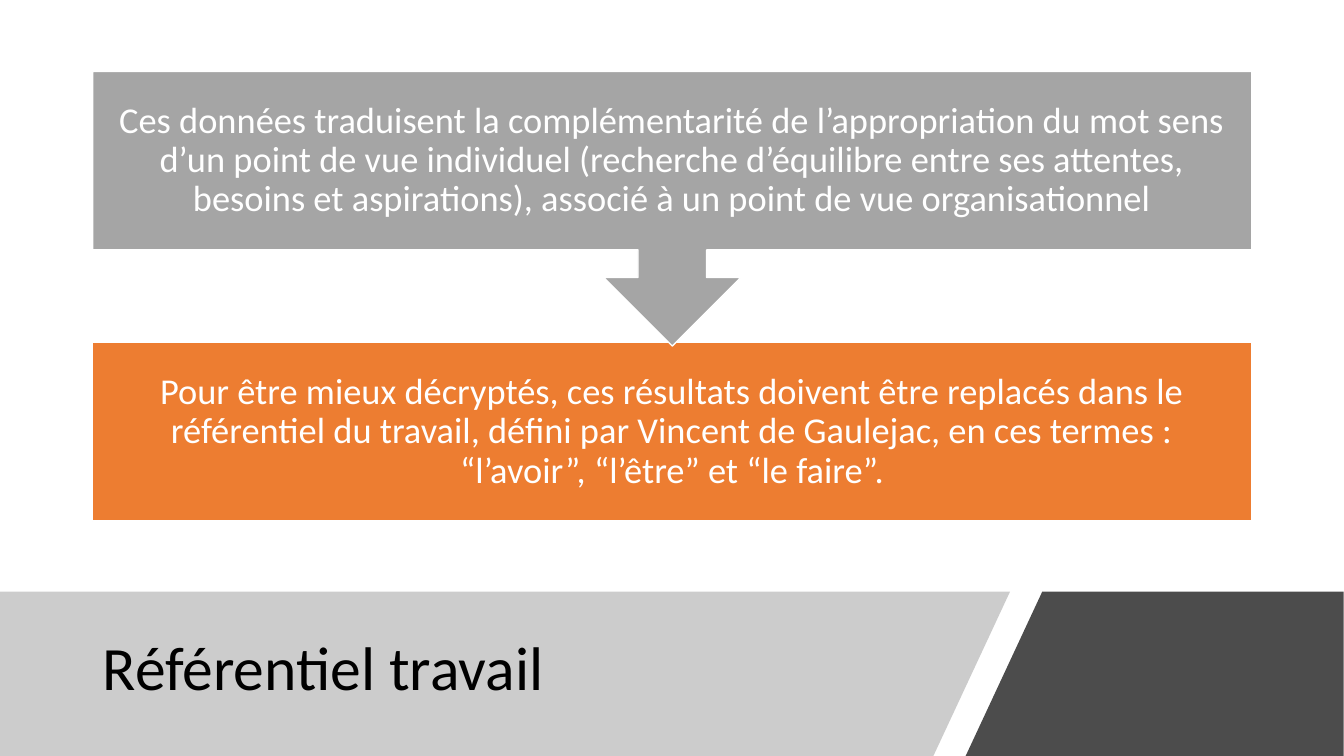
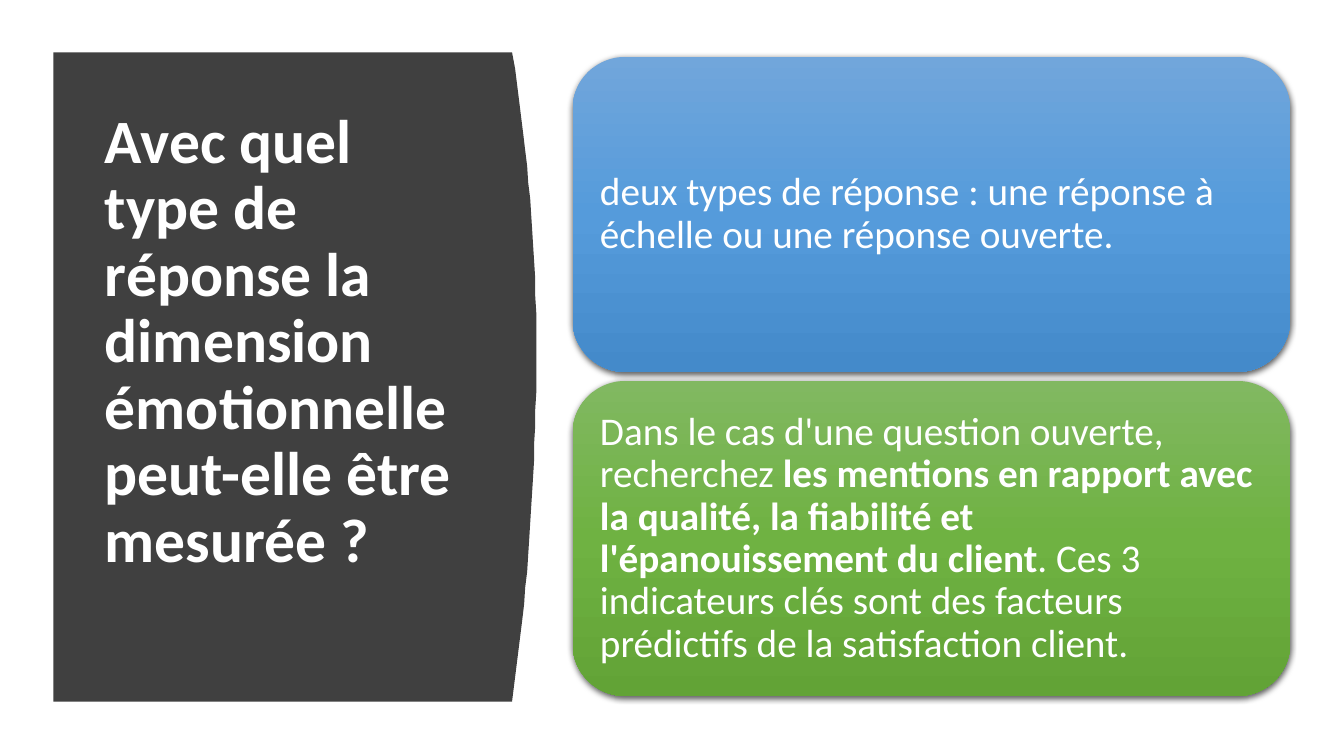
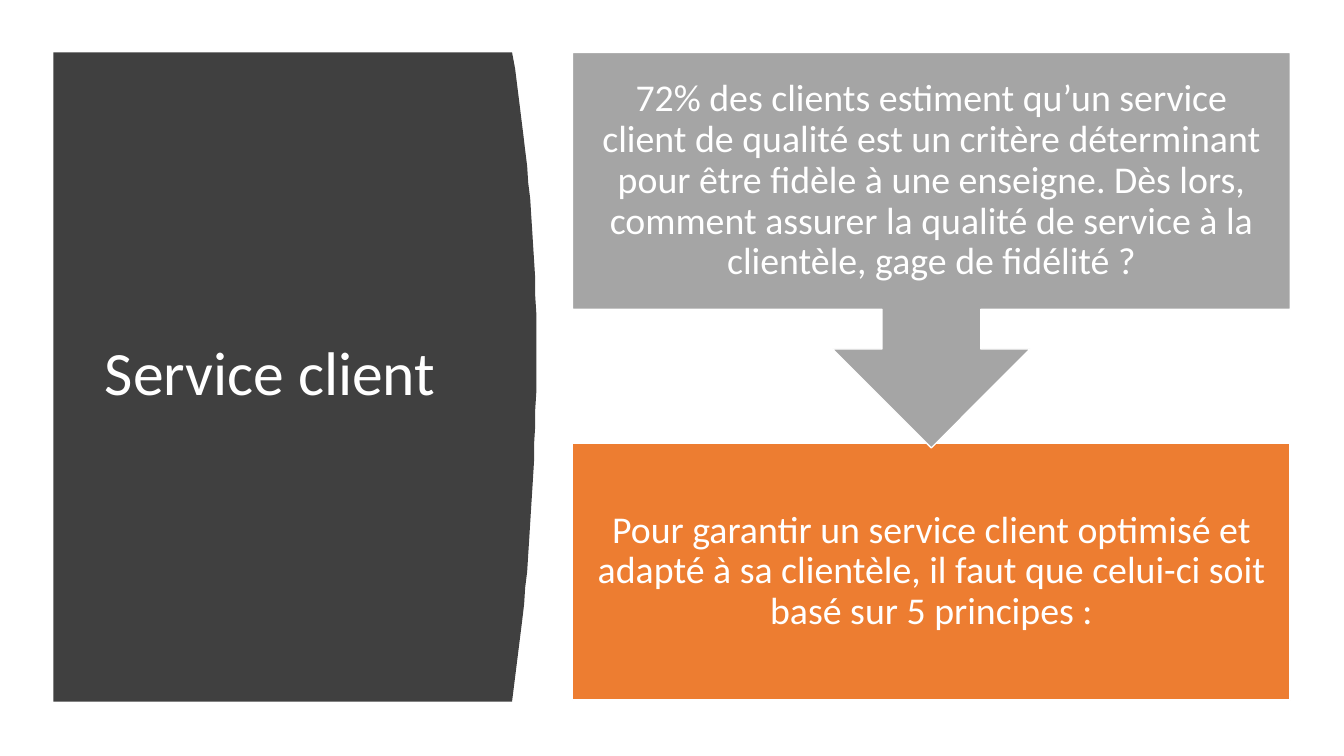
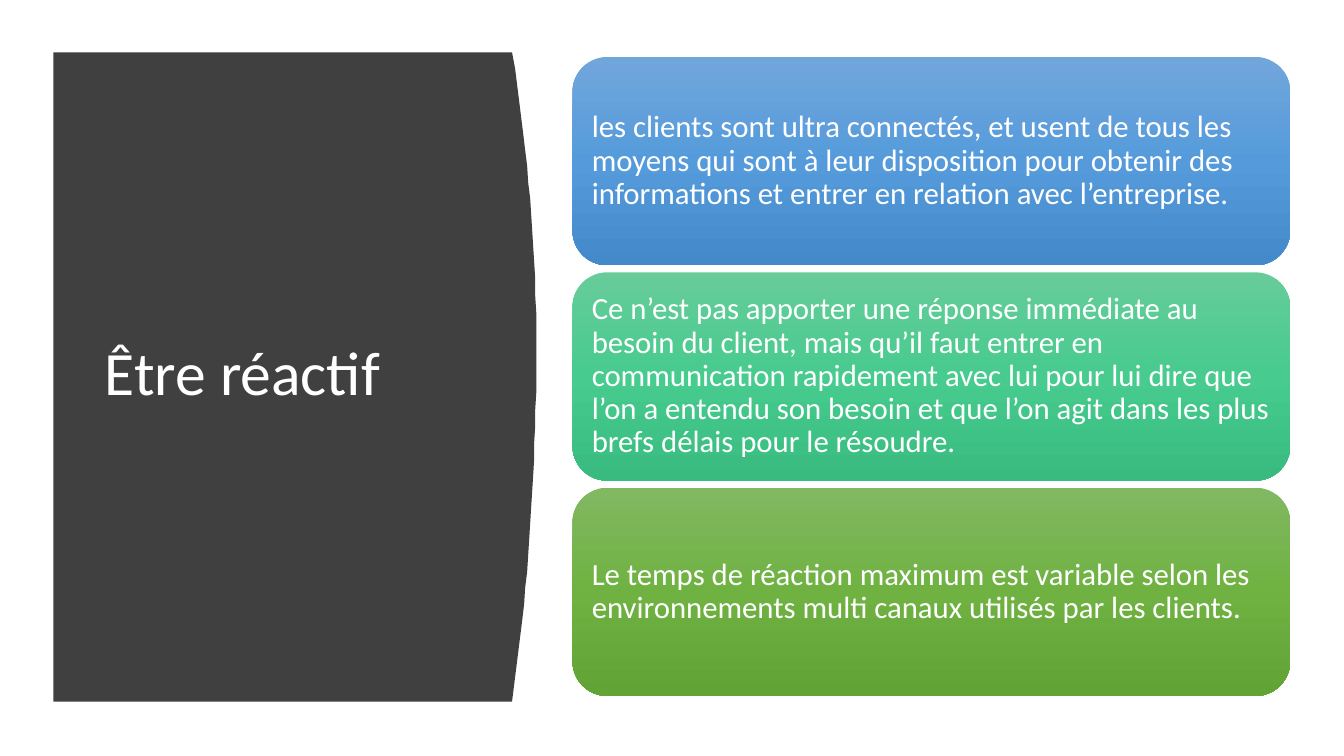
import copy
import pptx
import pptx.util
import pptx.dml.color
import pptx.enum.shapes
import pptx.enum.text
import pptx.oxml
import pptx.oxml.ns
import lxml.etree

# Shared look
HUES = {"white": "FFFFFF", "black": "000000", "mist": "808080", "panel": "404040",
        "grey": "A5A5A5", "orange": "ED7D31"}
FADES = {"blue": ("71A6DB", "559BDB", "448ACA"),
         "mint": ("67CC9A", "47CB8E", "39BB7F"),
         "green": ("81B861", "6FB242", "62A336")}
FONT = "Calibri"
KIND = pptx.enum.shapes.MSO_SHAPE
ALIGN = pptx.enum.text.PP_ALIGN
RGB = pptx.dml.color.RGBColor.from_string
tag = pptx.oxml.ns.qn

# Grid: 750 rows to the height, and square cells
ROWS = 750
COLS = ROWS * 16 / 9
deck = pptx.Presentation()
deck.slide_height = pptx.util.Inches(7.5)
deck.slide_width = deck.slide_height * 16 // 9
CELL = deck.slide_height // ROWS
MID = 373.5             # centre row of the side panel and its cards
LEFT, WIDE = 568, 712   # card column beside the panel


def write(shape, text, size=44, hue="white", bold=False, align=ALIGN.LEFT, pad=(10, 5, 10, 5)):
    """Fill a shape with text; parts between bars are bold."""
    frame = shape.text_frame
    frame.word_wrap = True
    frame.auto_size = pptx.enum.text.MSO_AUTO_SIZE.NONE
    frame.vertical_anchor = pptx.enum.text.MSO_ANCHOR.MIDDLE
    frame.margin_left, frame.margin_top, frame.margin_right, frame.margin_bottom = (
        int(side * CELL) for side in pad)
    para = frame.paragraphs[0]
    para.alignment, para.line_spacing = align, 0.9
    for turn, part in enumerate(text.split("|")):
        run = para.add_run()
        run.text = part
        run.font.name, run.font.size = FONT, pptx.util.Pt(size)
        run.font.bold = bold or turn % 2 == 1
        run.font.color.rgb = RGB(HUES[hue])


def draw(slide, form, hue, edge=False, alpha=None):
    """Add a preset (kind, left, top, width, height) or an outline of points."""
    if isinstance(form, list):
        pen = slide.shapes.build_freeform(*form[0], scale=CELL)
        pen.add_line_segments(form[1:])
        shape = pen.convert_to_shape()
    else:
        shape = slide.shapes.add_shape(form[0], *(int(n * CELL) for n in form[1:]))
    shape.shadow.inherit = False
    fill = shape.fill
    if hue in FADES:
        fill.gradient()
        fill.gradient_angle = 270
        stops = shape.element.spPr.find(".//" + tag("a:gsLst"))
        stops.insert(1, copy.deepcopy(stops[0]))
        for stop, spot, tint in zip(fill.gradient_stops, (0, 0.5, 1), FADES[hue]):
            stop.position = spot
            stop.color.rgb = RGB(tint)
    else:
        fill.solid()
        fill.fore_color.rgb = RGB(HUES[hue])
    if alpha:
        tint = shape.element.spPr.find(".//" + tag("a:srgbClr"))
        lxml.etree.SubElement(tint, tag("a:alpha"), val=str(alpha * 1000))
    if edge:
        shape.line.color.rgb = RGB(HUES["white"])
        shape.line.width = pptx.util.Pt(1)
    else:
        shape.line.fill.background()
    return shape


# Side panel outline: straight, with a bulging right edge
TOP, FOOT, PEAK, SIDE, BULGE = 52, 696, 350, 508, 24
STEPS = 40
curve = []
for step in range(STEPS + 1):
    row = TOP + (FOOT - TOP) * step / STEPS
    reach = PEAK - TOP if row < PEAK else FOOT - PEAK
    curve.append((SIDE + BULGE * (1 - ((row - PEAK) / reach) ** 2), row))
panel = [(53, TOP), *curve, (53, FOOT)]

# Foot bands
BAND = 587
bands = [([(0, BAND), (1002, BAND), (926, ROWS), (0, ROWS)], "mist", 40),
         ([(1034, BAND), (COLS, BAND), (COLS, ROWS), (958, ROWS)], "black", 70)]

# Wording: title, layout, text size, text inset, cards
pages = [
    ("Référentiel travail", "foot", 26, 20, [
        ("grey", "Ces données traduisent la complémentarité de l’appropriation du mot sens "
         "d’un point de vue individuel (recherche d’équilibre entre ses attentes, besoins et "
         "aspirations), associé à un point de vue organisationnel"),
        ("orange", "Pour être mieux décryptés, ces résultats doivent être replacés dans le "
         "référentiel du travail, défini par Vincent de Gaulejac, en ces termes\u00a0: "
         "“l’avoir”, “l’être” et “le faire”.")]),
    ("Avec quel type de réponse la dimension émotionnelle peut-elle être mesurée ?",
     "stack", 28, 12, [
        ("blue", "deux types de réponse : une réponse à échelle ou une réponse ouverte."),
        ("green", "Dans le cas d'une question ouverte, recherchez |les mentions en rapport avec "
         "la qualité, la fiabilité et l'épanouissement du client|. Ces 3 indicateurs clés sont "
         "des facteurs prédictifs de la satisfaction client.")]),
    ("Service client", "flow", 27, 21, [
        ("grey", "72% des clients estiment qu’un service client de qualité est un critère "
         "déterminant pour être fidèle à une enseigne. Dès lors, comment assurer la qualité de "
         "service à la clientèle, gage de fidélité\u00a0?"),
        ("orange", "Pour garantir un service client optimisé et adapté à sa clientèle, il faut "
         "que celui-ci soit basé sur 5 principes\u00a0:")]),
    ("Être réactif", "stack", 22, 9, [
        ("blue", "les clients sont ultra connectés, et usent de tous les moyens qui sont à leur "
         "disposition pour obtenir des informations et entrer en relation avec l’entreprise."),
        ("mint", "Ce n’est pas apporter une réponse immédiate au besoin du client, mais qu’il "
         "faut entrer en communication rapidement avec lui pour lui dire que l’on a entendu son "
         "besoin et que l’on agit dans les plus brefs délais pour le résoudre."),
        ("green", "Le temps de réaction maximum est variable selon les environnements multi "
         "canaux utilisés par les clients.")]),
]

for name, plan, size, inset, cards in pages:
    slide = deck.slides.add_slide(deck.slide_layouts[5])
    pad = (inset,) * 4
    long = len(name) > 40

    # Backdrop, with the title in front of it
    if plan == "foot":
        for form, hue, alpha in bands:
            draw(slide, form, hue, alpha=alpha)
        box = (92, 605, 844, 120)
    else:
        draw(slide, panel, "panel")
        box = (94, 111, 374, 524)
    title = slide.shapes.title
    title.left, title.top, title.width, title.height = (n * CELL for n in box)
    title.element.getparent().append(title.element)
    write(title, name, hue="black" if plan == "foot" else "white", bold=long,
          pad=(10, 5, 10, 71 if long else 5))

    # Equal cards, one below the other
    if plan == "stack":
        count = len(cards)
        gap = 9 if count == 2 else 7
        high = (634 - gap * (count - 1)) / count
        for spot, (hue, text) in enumerate(cards):
            top = MID - 317 + spot * (high + gap)
            card = draw(slide, (KIND.ROUNDED_RECTANGLE, LEFT, top, WIDE, high), hue)
            write(card, text, size=size, pad=pad)
            if count == 2:
                glow = card.element.spPr.find(tag("a:effectLst"))
                glow.append(pptx.oxml.parse_xml(
                    '<a:outerShdw xmlns:a="http://schemas.openxmlformats.org/drawingml/2006/main"'
                    ' blurRad="57150" dist="19050" dir="5400000" algn="ctr" rotWithShape="0">'
                    '<a:srgbClr val="000000"><a:alpha val="63000"/></a:srgbClr></a:outerShdw>'))
        continue

    # Callout whose arrow points into the box below
    left, top, wide, high = (92, 71, 1150, 177) if plan == "foot" else (LEFT, TOP, WIDE, 255)
    forms = [(KIND.DOWN_ARROW_CALLOUT, left, top, wide, high / 0.65),
             (KIND.RECTANGLE, left, top + 1.52 * high, wide, high)]
    for form, (hue, text) in reversed(list(zip(forms, cards))):
        write(draw(slide, form, hue, edge=True), text, size=size, align=ALIGN.CENTER, pad=pad)

deck.save("out.pptx")
